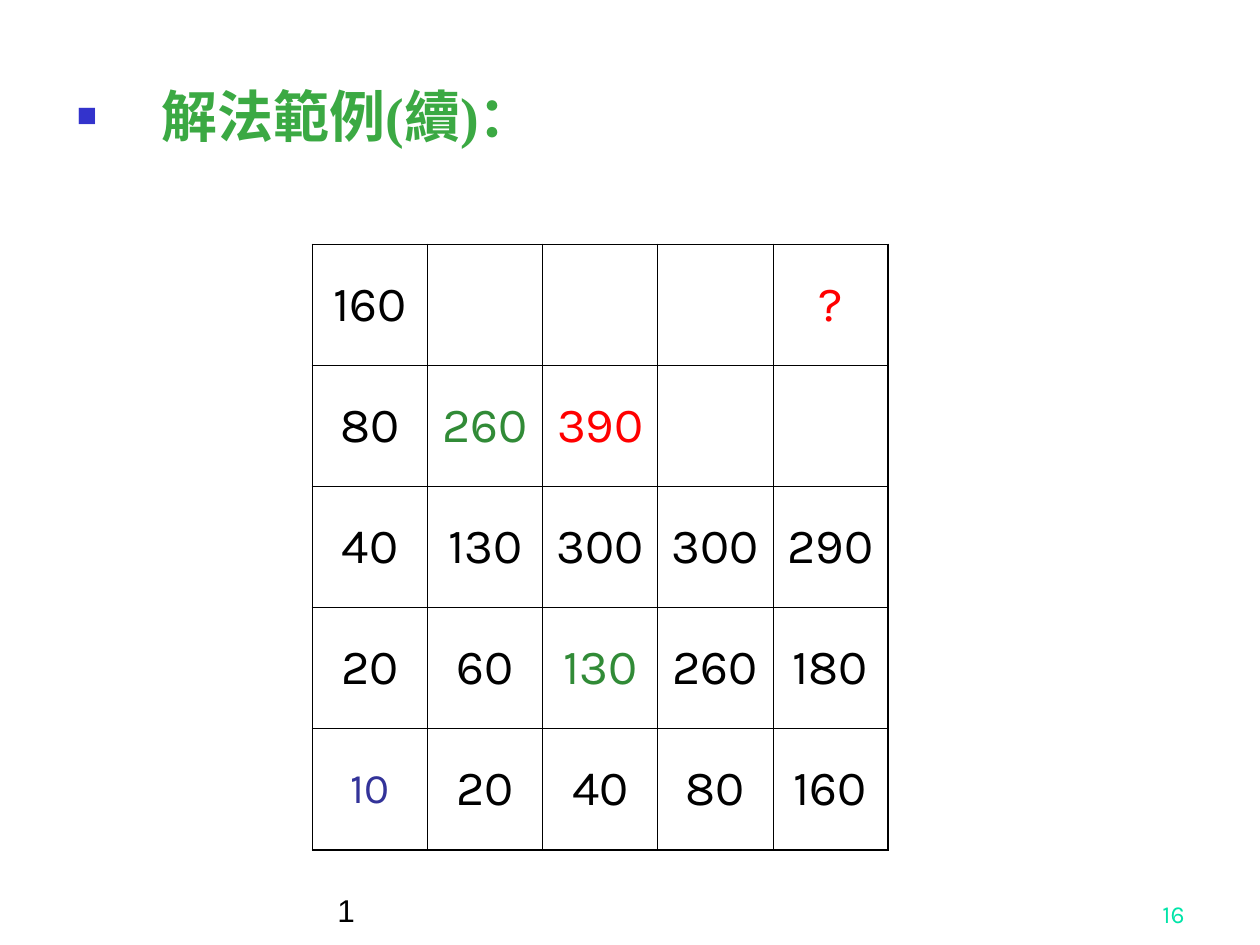
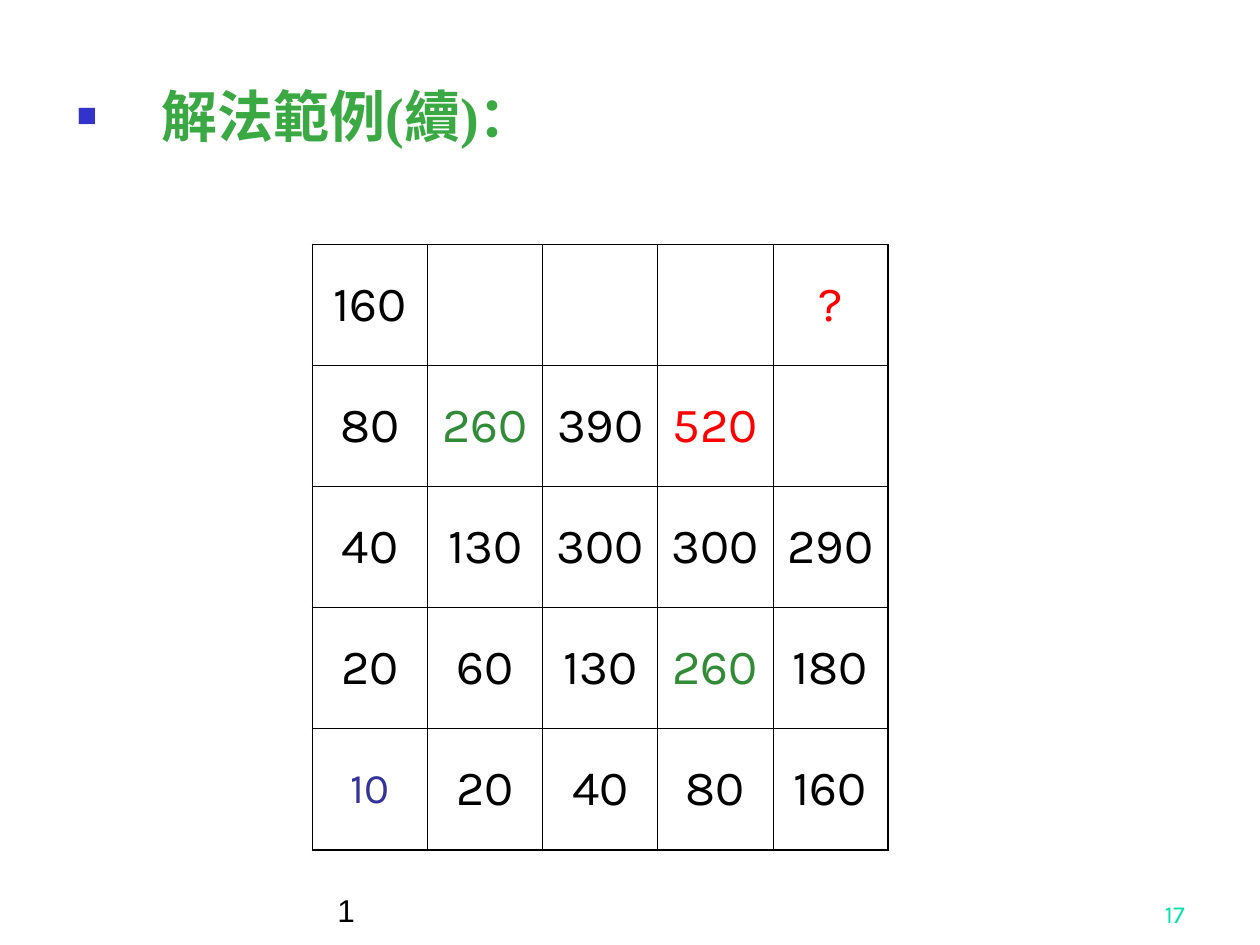
from lxml.etree import SubElement
from pptx import Presentation
from pptx.dml.color import RGBColor
from pptx.enum.text import MSO_ANCHOR, PP_ALIGN
from pptx.oxml import parse_xml
from pptx.oxml.ns import nsdecls, qn
from pptx.util import Cm, Pt

BLACK = RGBColor(0x00, 0x00, 0x00)
RED = RGBColor(0xFF, 0x00, 0x00)
GREEN = RGBColor(0x31, 0x8B, 0x37)
BLUE = RGBColor(0x33, 0x33, 0x99)
TITLE_GREEN = RGBColor(0x3B, 0xA9, 0x43)
BULLET_BLUE = RGBColor(0x33, 0x33, 0xCC)
NUMBER_MINT = RGBColor(0x00, 0xE4, 0xA8)

TITLE_FONT = {"name": "Times New Roman", "size": Pt(32), "bold": True}
VALUE_FONT = {"name": "Karla", "size": Pt(28)}
START_FONT = {"name": "Karla", "size": Pt(24)}
DATE_FONT = {"name": "Arial", "size": Pt(18)}
NUMBER_FONT = {"name": "Karla", "size": Pt(14)}

GRID_SIZE = 5
COLUMN_WIDTH, ROW_HEIGHT = Cm(2.32), Cm(2.44)
INNER_LINE, OUTER_LINE = Pt(0.45), Pt(1.08)
LAST = GRID_SIZE - 1
START_CELL = (LAST, 0)

# Each step: slide number, grid values, and the cells that stand out.
STEPS = [
    (
        "16",
        [
            ["160", "", "", "", "?"],
            ["80", "260", "390", "", ""],
            ["40", "130", "300", "300", "290"],
            ["20", "60", "130", "260", "180"],
            ["10", "20", "40", "80", "160"],
        ],
        {(1, 1): GREEN, (1, 2): RED, (3, 2): GREEN},
    ),
    (
        "17",
        [
            ["160", "", "", "", "?"],
            ["80", "260", "390", "520", ""],
            ["40", "130", "300", "300", "290"],
            ["20", "60", "130", "260", "180"],
            ["10", "20", "40", "80", "160"],
        ],
        {(1, 1): GREEN, (1, 3): RED, (3, 3): GREEN},
    ),
]
SHARED_COLORS = {(0, LAST): RED, START_CELL: BLUE}


def write(paragraph, text, font_format, color, alignment=PP_ALIGN.LEFT):
    paragraph.text = text
    paragraph.alignment = alignment
    font = paragraph.runs[0].font
    for attribute, value in font_format.items():
        setattr(font, attribute, value)
    font.color.rgb = color


def add_text(slide, box, anchor):
    """Add an empty wrapping text box and return its first paragraph."""
    frame = slide.shapes.add_textbox(*[Cm(length) for length in box]).text_frame
    frame.word_wrap = True
    frame.vertical_anchor = anchor
    return frame.paragraphs[0]


presentation = Presentation()
presentation.slide_width = Cm(25.4)
presentation.slide_height = Cm(19.05)

for slide_number, values, step_colors in STEPS:
    slide = presentation.slides.add_slide(presentation.slide_layouts[6])

    # Bulleted title
    title = add_text(slide, (1.3, 1.52, 22.81, 16.21), MSO_ANCHOR.TOP)
    properties = title._p.get_or_add_pPr()
    properties.set("marL", str(Cm(1.7)))
    properties.set("indent", str(-Cm(1.7)))
    bullet_color = SubElement(properties, qn("a:buClr"))
    SubElement(bullet_color, qn("a:srgbClr"), val=str(BULLET_BLUE))
    SubElement(properties, qn("a:buSzPct"), val="60000")
    SubElement(properties, qn("a:buFont"), typeface="Arial")
    SubElement(properties, qn("a:buChar"), char="■")
    write(title, "解法範例(續)：", TITLE_FONT, TITLE_GREEN)

    # Grid of path values
    table = slide.shapes.add_table(
        GRID_SIZE, GRID_SIZE, Cm(6.3), Cm(4.93),
        COLUMN_WIDTH * GRID_SIZE, ROW_HEIGHT * GRID_SIZE,
    ).table
    table.first_row = False
    table.horz_banding = False
    colors = {**SHARED_COLORS, **step_colors}
    for row, row_values in enumerate(values):
        for column, value in enumerate(row_values):
            cell = table.cell(row, column)
            cell.vertical_anchor = MSO_ANCHOR.MIDDLE
            cell.fill.background()
            if value:
                position = (row, column)
                font_format = START_FONT if position == START_CELL else VALUE_FONT
                write(cell.text_frame.paragraphs[0], value, font_format,
                      colors.get(position, BLACK), PP_ALIGN.CENTER)
            outer_sides = {
                "lnL": column == 0, "lnR": column == LAST,
                "lnT": row == 0, "lnB": row == LAST,
            }
            cell_properties = cell._tc.get_or_add_tcPr()
            for index, (side, is_outer) in enumerate(outer_sides.items()):
                width = OUTER_LINE if is_outer else INNER_LINE
                cell_properties.insert(index, parse_xml(
                    f'<a:{side} {nsdecls("a")} w="{width}"><a:solidFill>'
                    f'<a:srgbClr val="{BLACK}"/></a:solidFill></a:{side}>'
                ))

    # Footer
    date = add_text(slide, (6.55, 17.58, 13.77, 1.27), MSO_ANCHOR.BOTTOM)
    write(date, "1", DATE_FONT, BLACK)
    number = add_text(slide, (18.85, 17.58, 5.28, 1.27), MSO_ANCHOR.BOTTOM)
    write(number, slide_number, NUMBER_FONT, NUMBER_MINT, PP_ALIGN.RIGHT)

presentation.save("out.pptx")
